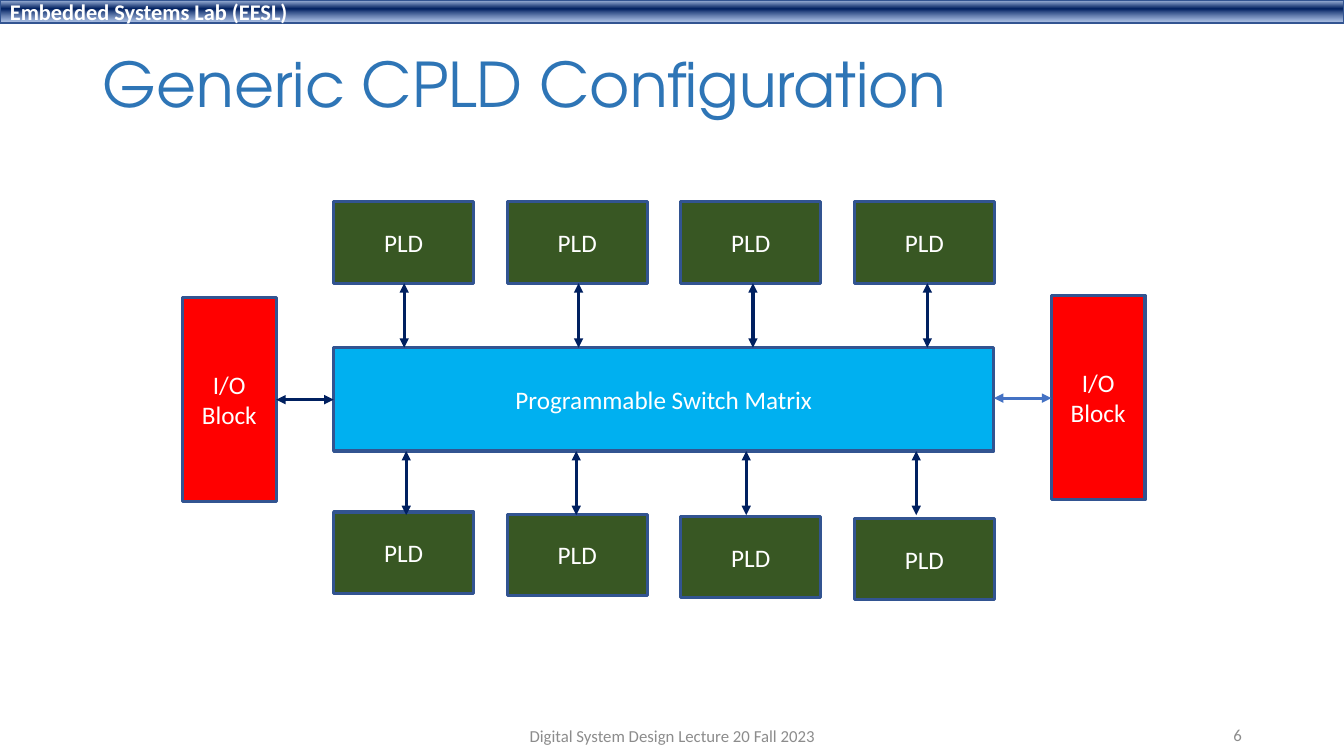
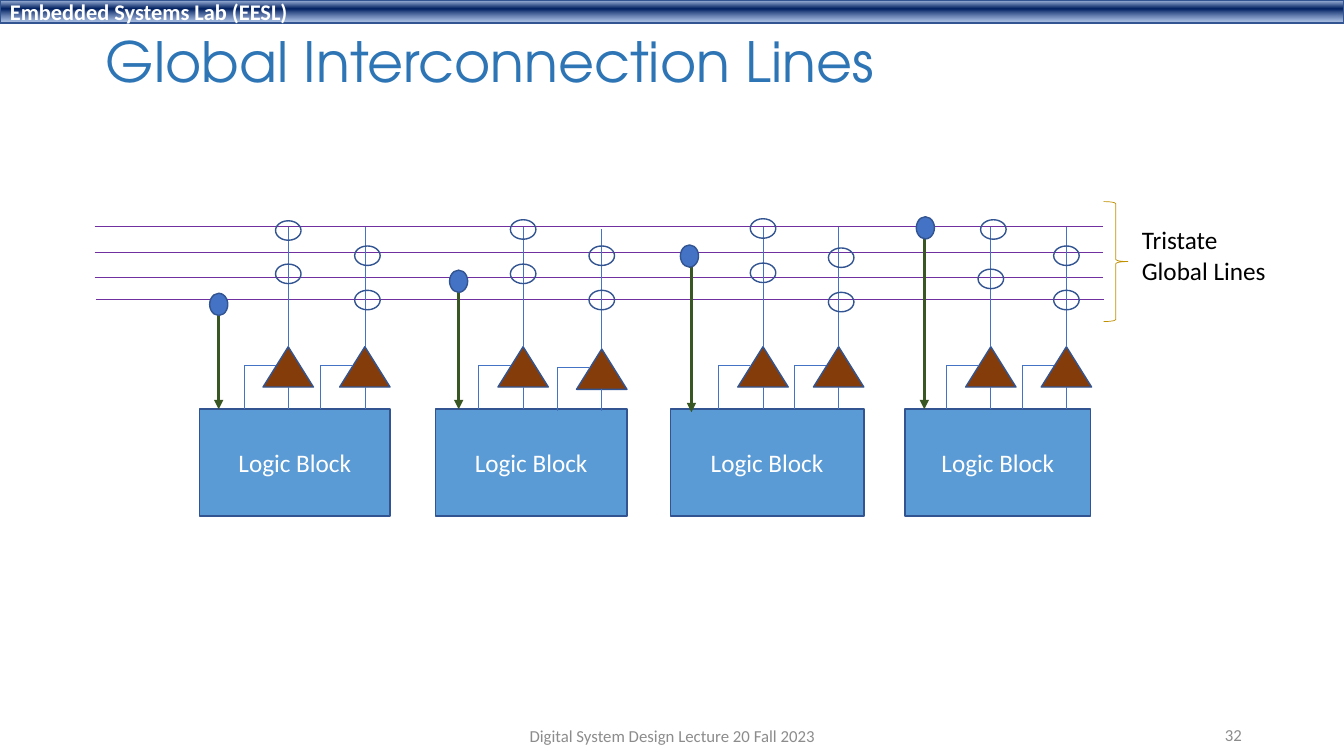
from dataclasses import dataclass

from lxml import etree
from pptx import Presentation
from pptx import slide as s
from pptx import util as u
from pptx.dml import color as c
from pptx.enum import shapes, text
from pptx.oxml import ns
from pptx.shapes import autoshape as a
from pptx.text import text as t

# The slide is a grid of square cells; every length below counts cells.
COLUMNS, ROWS = 160, 90
CELL_POINTS = 6

SHAPE, ALIGN, ANCHOR = shapes.MSO_SHAPE, text.PP_ALIGN, text.MSO_ANCHOR


@dataclass(frozen=True)
class Theme:
    body_font: str = "Calibri"
    title_font: str = "TeX Gyre Adventor"
    body_size: float = 18
    band_size: float = 16
    footer_size: float = 12
    thick: float = 2.25
    medium: float = 1
    thin: float = 0.5
    title: str = "2E75B6"
    white: str = "FFFFFF"
    black: str = "000000"
    gray: str = "8C8C8C"
    outline: str = "325491"
    navy: str = "002060"
    blue: str = "4472C4"
    green: str = "385723"
    red: str = "FF0000"
    matrix: str = "00B0F0"
    logic: str = "5B9BD5"
    brown: str = "843C0B"
    purple: str = "7030A0"
    gold: str = "BF9000"
    # Gradient stops of the band: position %, colour, opacity %
    band: tuple[tuple[int, str, int], ...] = (
        (2, "ABC0E4", 100), (38, "002060", 100), (93, "7E9ED6", 64))


THEME = Theme()


@dataclass(frozen=True)
class Area:
    left: float
    top: float
    width: float
    height: float

    def lengths(self) -> list[u.Length]:
        return [cells(n) for n in (self.left, self.top, self.width, self.height)]


@dataclass(frozen=True)
class Buffer:
    """A tristate buffer; each ring is its sideways shift and its top row."""
    center: float
    rings: tuple[tuple[float, float], ...]
    drop: float = 0


@dataclass(frozen=True)
class LogicBlock:
    left: float
    width: float
    dot_center: float
    dot_top: float
    arrow_x: float
    arrow_end: float
    buffers: tuple[Buffer, ...]


def cells(count: float) -> u.Length:
    return u.Pt(CELL_POINTS * count)


def rgb(value: str) -> c.RGBColor:
    return c.RGBColor.from_string(value)


# Drawing helpers
def write(frame: t.TextFrame, content: str, *, size: float = THEME.body_size,
          color: str = THEME.white, font: str = THEME.body_font, bold: bool = False,
          align: ALIGN = ALIGN.CENTER, anchor: ANCHOR = ANCHOR.MIDDLE,
          spacing: float = 1, wrap: bool = True) -> None:
    """Fill a frame with one paragraph for each line of the content."""
    frame.auto_size = text.MSO_AUTO_SIZE.NONE
    frame.word_wrap = wrap
    frame.vertical_anchor = anchor
    for index, line in enumerate(content.split("\n")):
        para = frame.add_paragraph() if index else frame.paragraphs[0]
        para.alignment = align
        para.line_spacing = spacing
        span = para.add_run()
        span.text = line
        span.font.name = font
        span.font.size = u.Pt(size)
        span.font.bold = bold
        span.font.color.rgb = rgb(color)


def draw_shape(page: s.Slide, kind: SHAPE, area: Area, *, fill: str | None = None,
               line: str = THEME.outline, weight: float = THEME.medium,
               label: str = "") -> a.Shape:
    box = page.shapes.add_shape(kind, *area.lengths())
    box.shadow.inherit = False
    if fill:
        box.fill.solid()
        box.fill.fore_color.rgb = rgb(fill)
    else:
        box.fill.background()
    box.line.color.rgb = rgb(line)
    box.line.width = u.Pt(weight)
    if label:
        write(box.text_frame, label)
    return box


def draw_text(page: s.Slide, area: Area, content: str, **style) -> None:
    write(page.shapes.add_textbox(*area.lengths()).text_frame, content, **style)


def draw_line(page: s.Slide, x1: float, y1: float, x2: float, y2: float, *,
              color: str = THEME.blue, weight: float = THEME.thin,
              ends: tuple[str, ...] = ()) -> None:
    """Draw a straight line; ends names the arrowheads: headEnd, tailEnd."""
    line = page.shapes.add_connector(
        shapes.MSO_CONNECTOR.STRAIGHT, *[cells(n) for n in (x1, y1, x2, y2)])
    line.line.color.rgb = rgb(color)
    line.line.width = u.Pt(weight)
    properties = line.element.spPr
    for end in ends:
        etree.SubElement(properties.find(ns.qn("a:ln")), ns.qn(f"a:{end}"), type="triangle")
    etree.SubElement(properties, ns.qn("a:effectLst"))


def draw_link(page: s.Slide, x1: float, y1: float, x2: float, y2: float,
              color: str = THEME.navy) -> None:
    draw_line(page, x1, y1, x2, y2, color=color, weight=THEME.thick,
              ends=("headEnd", "tailEnd"))


# Shared parts
def add_band(page: s.Slide) -> None:
    """Draw the gradient band and hand it to the layout, so every slide shows it."""
    band = draw_shape(page, SHAPE.RECTANGLE, Area(0, 0, COLUMNS, 2.76))
    write(band.text_frame, "Embedded Systems Lab (EESL)", size=THEME.band_size,
          bold=True, align=ALIGN.LEFT)
    gradient = etree.Element(ns.qn("a:gradFill"), rotWithShape="1")
    stops = etree.SubElement(gradient, ns.qn("a:gsLst"))
    for position, color, opacity in THEME.band:
        stop = etree.SubElement(stops, ns.qn("a:gs"), pos=str(position * 1000))
        value = etree.SubElement(stop, ns.qn("a:srgbClr"), val=color)
        if opacity < 100:
            etree.SubElement(value, ns.qn("a:alpha"), val=str(opacity * 1000))
    etree.SubElement(gradient, ns.qn("a:lin"), ang="5400000", scaled="0")
    properties = band.element.spPr
    properties.replace(properties.find(ns.qn("a:noFill")), gradient)
    page.slide_layout.shapes.element.append(band.element)


def add_page(deck, title: str, area: Area, size: float, number: int) -> s.Slide:
    page = deck.slides.add_slide(deck.slide_layouts[5])
    heading = page.shapes.title
    heading.left, heading.top, heading.width, heading.height = area.lengths()
    write(heading.text_frame, title, size=size, color=THEME.title,
          font=THEME.title_font, align=ALIGN.LEFT, spacing=0.9)
    footer = {"size": THEME.footer_size, "color": THEME.gray}
    draw_text(page, Area(113.04, 85.1, 36, 4.8), str(number), align=ALIGN.RIGHT, **footer)
    draw_text(page, Area(53.04, 85.2, 54, 4.8),
              "Digital System Design Lecture 20 Fall 2023", **footer)
    return page


# Slide: CPLD configuration
def draw_cpld(page: s.Slide) -> None:
    matrix = Area(39.72, 41.4, 78.6, 12.3)
    matrix_right, matrix_bottom = matrix.left + matrix.width, matrix.top + matrix.height
    pld_width, pld_height, pld_pitch = 16.68, 9.72, 20.66
    upper_top, lower_top, lower_step = 24, 60.96, 0.24

    def block(area: Area, fill: str, label: str) -> None:
        draw_shape(page, SHAPE.RECTANGLE, area, fill=fill, weight=THEME.thick, label=label)

    block(matrix, THEME.matrix, "Programmable Switch Matrix")
    for column in range(4):
        for top in (upper_top, lower_top + column * lower_step):
            block(Area(matrix.left + column * pld_pitch, top, pld_width, pld_height),
                  THEME.green, "PLD")
    for column in range(4):
        upper_x, lower_x = 48.12 + column * 20.76, 48.36 + column * 20.24
        draw_link(page, upper_x, upper_top + pld_height, upper_x, matrix.top)
        draw_link(page, lower_x, matrix_bottom, lower_x, 61.32)

    # I/O blocks beside the matrix
    io_width, io_height, gap = 11.16, 24.36, 6.84
    io_left, io_right = matrix.left - gap - io_width, matrix_right + gap
    for left, top in ((io_left, 35.4), (io_right, 35.16)):
        block(Area(left, top, io_width, io_height), THEME.red, "I/O\nBlock")
    draw_link(page, matrix.left - gap, 47.58, matrix.left, 47.58)
    draw_link(page, matrix_right, 47.4, io_right, 47.4, THEME.blue)


# Slide: global interconnection lines
BLOCK_TOP, BLOCK_HEIGHT = 48.72, 12.72
BLOCKS = (
    LogicBlock(23.76, 22.68, 26.04, 34.92, 26.04, BLOCK_TOP, (
        Buffer(34.32, ((0, 26.28), (0, 31.44))),
        Buffer(43.44, ((0.3, 29.28), (0.3, 34.56))))),
    LogicBlock(51.84, 22.8, 54.6, 32.16, 54.6, BLOCK_TOP, (
        Buffer(62.28, ((0, 26.16), (0, 31.44))),
        Buffer(71.64, ((0, 29.28), (0, 34.56)), drop=0.27))),
    LogicBlock(79.8, 23.04, 82.08, 29.16, 82.32, 49.08, (
        Buffer(90.84, ((0, 26.04), (0, 31.32))),
        Buffer(99.84, ((0.3, 29.52), (0.3, 34.8))))),
    LogicBlock(107.76, 22.08, 110.16, 25.8, 110.04, BLOCK_TOP, (
        Buffer(117.96, ((0.3, 26.16), (0, 32.04))),
        Buffer(126.96, ((0, 29.28), (0, 34.56))))),
)


def draw_buffer(page: s.Slide, buffer: Buffer) -> None:
    x, apex = buffer.center, 41.28 + buffer.drop
    width, height = 6, 4.8
    base, floor = apex + height, BLOCK_TOP + buffer.drop
    tap_x, tap_y = x - 5.28, apex + 2.2
    draw_shape(page, SHAPE.ISOSCELES_TRIANGLE, Area(x - width / 2, apex, width, height),
               fill=THEME.brown)
    draw_line(page, x - 1.5, tap_y, tap_x, tap_y)
    draw_line(page, tap_x, tap_y, tap_x, floor)
    draw_line(page, x, base, x, floor)
    draw_line(page, x, apex, x, 27 + buffer.drop)
    ring_width, ring_height = 3.04, 2.32
    for shift, top in buffer.rings:
        draw_shape(page, SHAPE.OVAL,
                   Area(x + shift - ring_width / 2, top, ring_width, ring_height))


def draw_interconnect(page: s.Slide) -> None:
    for left, y in ((11.28, 27), (11.28, 30), (11.28, 33), (11.4, 35.64)):
        draw_line(page, left, y, left + 120, y, color=THEME.purple)

    dot_width, dot_height = 2.16, 2.64
    for block in BLOCKS:
        draw_shape(page, SHAPE.RECTANGLE,
                   Area(block.left, BLOCK_TOP, block.width, BLOCK_HEIGHT),
                   fill=THEME.logic, label="Logic Block")
        for buffer in block.buffers:
            draw_buffer(page, buffer)
        # Input tap from a global line down into the block
        draw_line(page, block.arrow_x, block.dot_top + dot_height / 2,
                  block.arrow_x, block.arrow_end,
                  color=THEME.green, weight=THEME.thick, ends=("tailEnd",))
        draw_shape(page, SHAPE.OVAL,
                   Area(block.dot_center - dot_width / 2, block.dot_top, dot_width, dot_height),
                   fill=THEME.blue)

    # Brace and its label
    draw_shape(page, SHAPE.RIGHT_BRACE, Area(131.4, 24, 2.88, 14.28),
               line=THEME.gold, weight=THEME.thin)
    draw_text(page, Area(134.76, 26.16, 17.28, 8.52), "Tristate\nGlobal Lines",
              color=THEME.black, align=ALIGN.LEFT, anchor=ANCHOR.TOP, wrap=False)


def main() -> None:
    deck = Presentation()
    deck.slide_width, deck.slide_height = cells(COLUMNS), cells(ROWS)
    cpld = add_page(deck, "Generic CPLD Configuration", Area(11.04, 4.8, 138, 11.16), 44, 6)
    add_band(cpld)
    draw_cpld(cpld)
    lines = add_page(deck, "Global Interconnection Lines", Area(11.4, 3.6, 138, 8.16), 39.6, 32)
    draw_interconnect(lines)
    deck.save("out.pptx")


if __name__ == "__main__":
    main()
